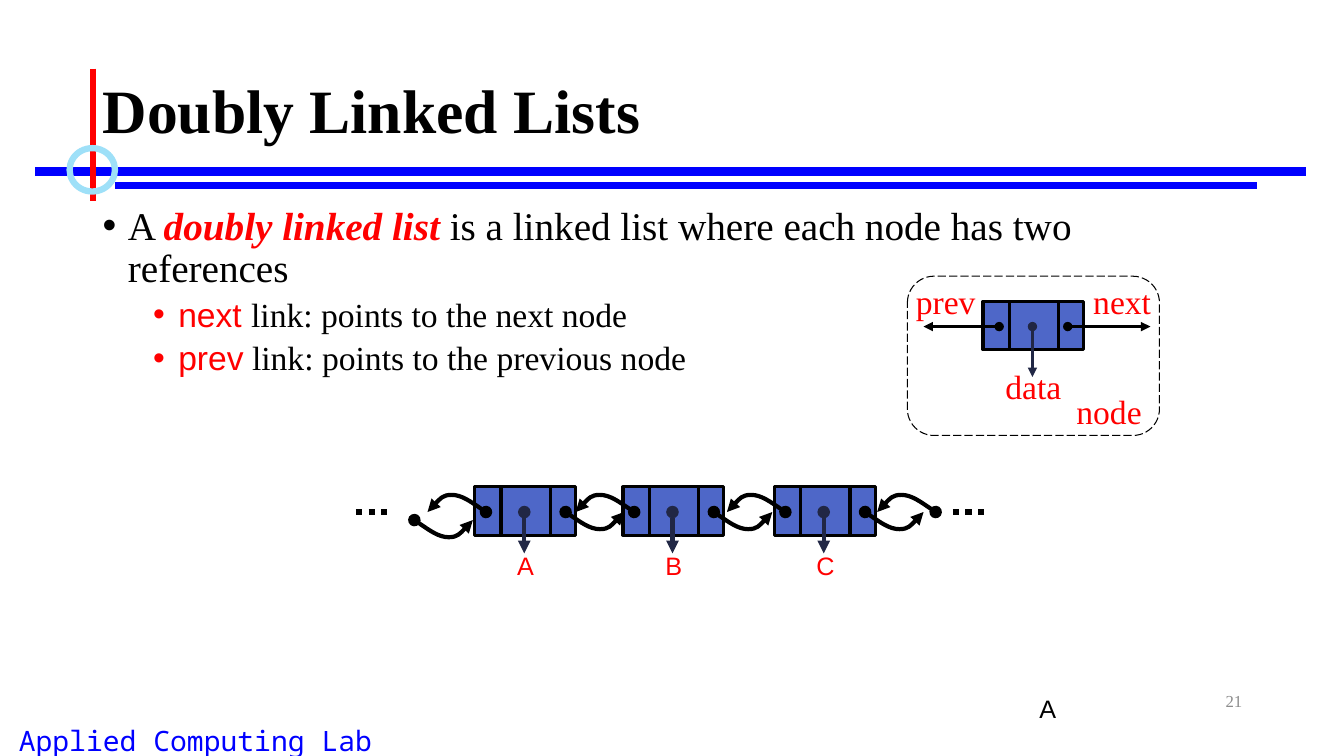
from lxml import etree
from pptx import Presentation
from pptx.dml.color import RGBColor
from pptx.enum.dml import MSO_LINE
from pptx.enum.shapes import MSO_CONNECTOR, MSO_SHAPE
from pptx.enum.text import MSO_ANCHOR, MSO_AUTO_SIZE, PP_ALIGN
from pptx.oxml.ns import qn
from pptx.util import Inches, Pt

STRAIGHT = MSO_CONNECTOR.STRAIGHT
RECT, ROUND_RECT, OVAL = MSO_SHAPE.RECTANGLE, MSO_SHAPE.ROUNDED_RECTANGLE, MSO_SHAPE.OVAL
LEFT, CENTER, RIGHT = PP_ALIGN.LEFT, PP_ALIGN.CENTER, PP_ALIGN.RIGHT
TOP, MIDDLE = MSO_ANCHOR.TOP, MSO_ANCHOR.MIDDLE
FIT_SHAPE = MSO_AUTO_SIZE.SHAPE_TO_FIT_TEXT
LONG_DASH, DOTS = MSO_LINE.LONG_DASH, MSO_LINE.ROUND_DOT

COLORS = {"black": "000000", "red": "FF0000", "blue": "0000FF", "sky": "9EE0F8",
          "cell": "4E67C8", "navy": "212745", "grey": "8C8C8C"}
SERIF, SANS, MONO = "Times New Roman", "Arial", "Noto Sans Mono"

# Offsets of a link's curve: a start point and two cubic segments
CURVE = [(0, 0), (0.12, 0.08), (0.24, 0.17), (0.34, 0.17),
         (0.43, 0.17), (0.51, 0.08), (0.58, 0)]


def color(name):
    return RGBColor.from_string(COLORS[name])


class ListSlide:
    def __init__(self, prs):
        self.slide = prs.slides.add_slide(prs.slide_layouts[6])
        self.shapes = self.slide.shapes

    def start_group(self):
        self.shapes = self.slide.shapes.add_group_shape().shapes

    def end_group(self):
        self.shapes = self.slide.shapes

    def outline(self, item, ink, width, dash=None, arrow=False):
        item.line.color.rgb = color(ink)
        item.line.width = Pt(width)
        if dash:
            item.line.dash_style = dash
        if arrow:
            ln = item.line._get_or_add_ln()
            for tag, kind in (("a:headEnd", "oval"), ("a:tailEnd", "triangle")):
                etree.SubElement(ln, qn(tag), type=kind)

    def line(self, x1, y1, x2, y2, ink, width, **style):
        connector = self.shapes.add_connector(STRAIGHT, *map(Inches, (x1, y1, x2, y2)))
        self.outline(connector, ink, width, **style)
        etree.SubElement(connector._element.spPr, qn("a:effectLst"))

    def shape(self, preset, box, ink, width, fill=None, **style):
        shape = self.shapes.add_shape(preset, *map(Inches, box))
        shape.shadow.inherit = False
        if fill:
            shape.fill.solid()
            shape.fill.fore_color.rgb = color(fill)
        else:
            shape.fill.background()
        self.outline(shape, ink, width, **style)

    def link(self, x, y, direction):
        """Curved arrow: direction 1 dips to the right, -1 rises to the left."""
        points = [(Inches(x + direction * dx), Inches(y + direction * dy)) for dx, dy in CURVE]
        builder = self.shapes.build_freeform(*points[0])
        builder.add_line_segments(points[1:], close=False)
        curve = builder.convert_to_shape()
        # Turn each run of three straight segments into one cubic segment
        outline = curve._element.find(".//" + qn("a:path"))
        segments = outline.findall(qn("a:lnTo"))
        for start in range(0, len(segments), 3):
            cubic = etree.SubElement(outline, qn("a:cubicBezTo"))
            for segment in segments[start:start + 3]:
                cubic.append(segment[0])
                outline.remove(segment)
        curve.shadow.inherit = False
        curve.fill.background()
        self.outline(curve, "black", 3, arrow=True)

    def text(self, box, paragraphs, align=LEFT, anchor=TOP, wrap=True, fit=False):
        """Each paragraph is (runs, format values, bullet indent or None)."""
        frame = self.shapes.add_textbox(*map(Inches, box)).text_frame
        frame.word_wrap = wrap
        frame.vertical_anchor = anchor
        if fit:
            frame.auto_size = FIT_SHAPE
        for index, (runs, layout, indent) in enumerate(paragraphs):
            paragraph = frame.add_paragraph() if index else frame.paragraphs[0]
            for name, value in {"alignment": align, **layout}.items():
                setattr(paragraph, name, value)
            if indent:
                props = paragraph._p.get_or_add_pPr()
                props.set("marL", str(Inches(indent)))
                props.set("indent", str(Inches(-0.25)))
                etree.SubElement(props, qn("a:buFont"), typeface=SANS)
                etree.SubElement(props, qn("a:buChar"), char="•")
            for words, size, face, ink, *emphasis in runs:
                run = paragraph.add_run()
                run.text = words
                font = {"size": Pt(size), "name": face,
                        "bold": "bold" in emphasis, "italic": "italic" in emphasis}
                for name, value in font.items():
                    setattr(run.font, name, value)
                run.font.color.rgb = color(ink)

    def label(self, box, words, size, face, ink, align=LEFT, **frame):
        self.text(box, [([(words, size, face, ink)], {}, None)], align, **frame)

    def node(self, left, top, stem, width):
        """Three cells with an arrow from the middle one down to its data."""
        for offset, cell_width in ((0.25, 0.51), (0.75, 0.25), (0, 0.26)):
            self.shape(RECT, (left + offset, top, cell_width, 0.48), "black", 2.25, fill="cell")
        self.line(left + 0.49, top + 0.25, left + 0.49, top + 0.25 + stem,
                  "navy", width, arrow=True)


def main():
    prs = Presentation()
    prs.slide_width, prs.slide_height = Inches(13.33), Inches(7.5)
    page = ListSlide(prs)

    # Frame of the page
    page.label((-0.58, 7.13, 5.04, 0.43), "Applied Computing Lab", 20, MONO, "blue",
               CENTER, fit=True)
    page.line(0.35, 1.7, 12.95, 1.7, "blue", 6)
    page.line(1.14, 1.84, 12.47, 1.84, "blue", 4.5)
    page.line(0.92, 0.68, 0.92, 1.99, "red", 4.5)
    page.shape(OVAL, (0.69, 1.47, 0.45, 0.43), "sky", 4.5)
    page.label((9.42, 6.75, 3, 0.4), "21", 12, SERIF, "grey", RIGHT, anchor=MIDDLE)

    # Title and definition
    page.text((0.92, 0.4, 11.5, 1.45),
              [([("Doubly Linked Lists", 44, SERIF, "black", "bold")],
                {"line_spacing": 0.9}, None)], anchor=MIDDLE)
    main_point = {"line_spacing": 0.9, "space_before": Pt(10)}
    sub_point = {"line_spacing": 0.9, "space_before": Pt(5), "level": 1}
    page.text((0.92, 2, 11.5, 4.76), [
        ([("A ", 28, SERIF, "black"),
          ("doubly linked list ", 28, SERIF, "red", "bold", "italic"),
          ("is a linked list where each node has two references", 28, SERIF, "black")],
         main_point, 0.25),
        ([("next ", 24, SANS, "red"),
          ("link: points to the next node", 24, SERIF, "black")], sub_point, 0.75),
        ([("prev", 24, SANS, "red"),
          (" link: points to the previous node", 24, SERIF, "black")], sub_point, 0.75),
    ])

    # Anatomy of one node
    page.start_group()
    page.shape(ROUND_RECT, (9, 2.74, 2.5, 1.58), "black", 0.75, dash=LONG_DASH)
    page.node(9.75, 2.99, 0.5, 2.25)
    page.line(10.59, 3.24, 11.41, 3.24, "black", 2.25, arrow=True)
    page.line(9.91, 3.24, 9.16, 3.24, "black", 2.25, arrow=True)
    label_width = 0.9
    for part, center, top in (("next", 11.13, 2.74), ("data", 10.25, 3.58),
                              ("node", 11, 3.83), ("prev", 9.38, 2.74)):
        page.label((center - label_width / 2, top, label_width, 0.5), part, 24, SERIF,
                   "red", CENTER, wrap=False, fit=True)
    page.end_group()

    # Chain of nodes
    for datum, left in (("A", 4.71), ("B", 6.18), ("C", 7.68)):
        page.start_group()
        page.node(left, 4.83, 0.41, 3)
        page.label((left + 0.32, 5.41, 0.37, 0.4), datum, 18, SANS, "red",
                   wrap=False, fit=True)
        page.link(left + 0.9, 5.08, 1)
        page.link(left + 0.11, 5.08, -1)
        page.end_group()

    # Links and dots beyond both ends
    page.label((10.21, 6.83, 0.37, 0.4), "A", 18, SANS, "black", wrap=False, fit=True)
    page.link(4.11, 5.16, 1)
    page.link(9.28, 5.08, -1)
    for left in (3.53, 9.45):
        page.line(left, 5.08, left + 0.33, 5.08, "black", 4.5, dash=DOTS)

    prs.save("out.pptx")


if __name__ == "__main__":
    main()
